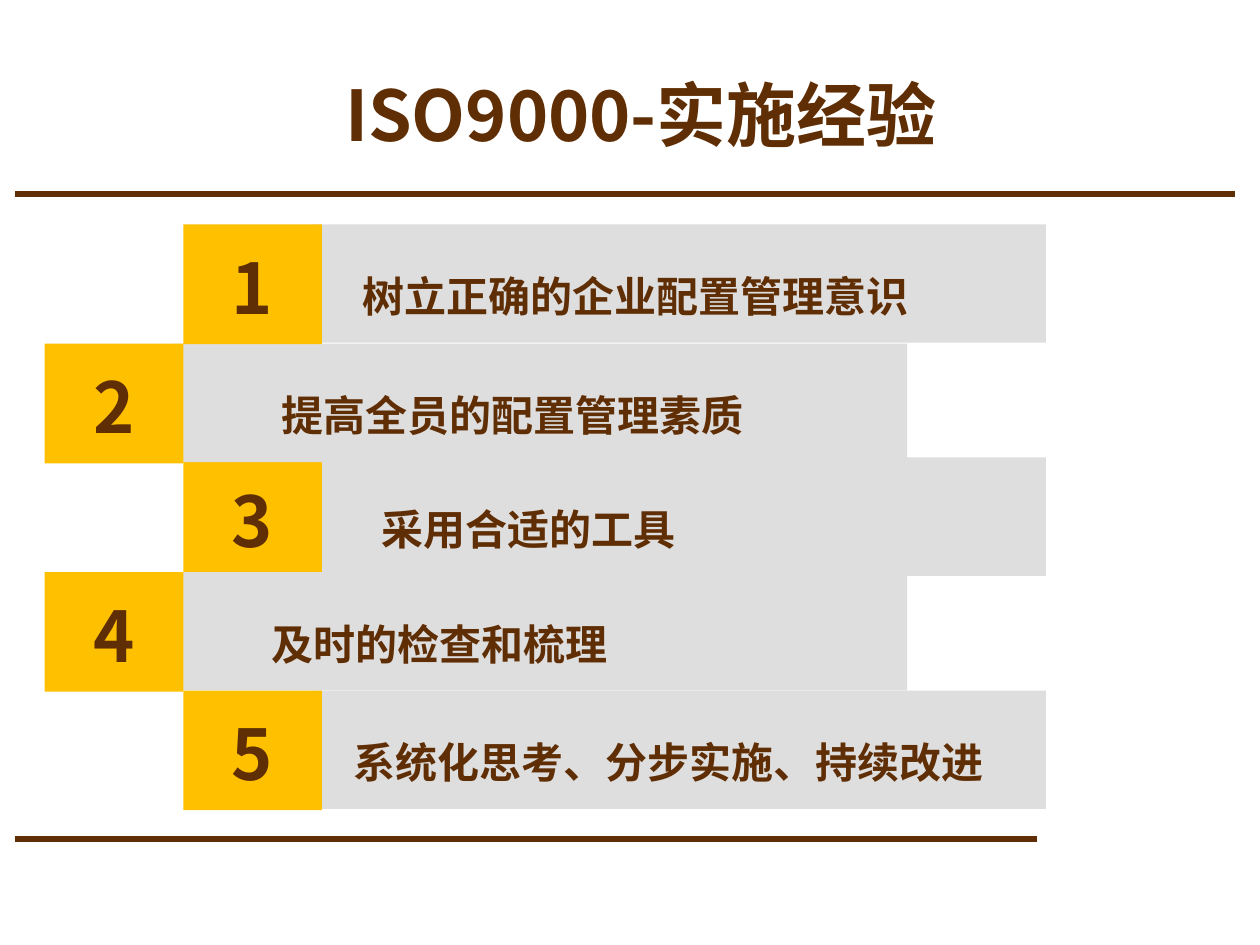
"""Build the ISO9000 implementation experience slide."""
from dataclasses import dataclass

from pptx import Presentation
from pptx.dml.color import RGBColor
from pptx.enum.shapes import MSO_CONNECTOR as Connector, MSO_SHAPE as Shape
from pptx.enum.text import MSO_ANCHOR as Anchor, MSO_AUTO_SIZE as AutoSize, PP_ALIGN as Align
from pptx.oxml.ns import qn
from pptx.oxml.xmlchemy import OxmlElement
from pptx.shapes.shapetree import GroupShapes, SlideShapes
from pptx.slide import Slide
from pptx.text.text import TextFrame
from pptx.util import Pt

BROWN = RGBColor(0x60, 0x2E, 0x04)
GOLD = RGBColor(0xFF, 0xC0, 0x00)
GREY = RGBColor(0xDE, 0xDE, 0xDE)
WHITE = RGBColor(0xFF, 0xFF, 0xFF)
FONT = "Noto Sans CJK SC"

BAR_LEFT = 99.4
BAR_WIDTH, BAR_HEIGHT = 419, 67.7
BADGE_WIDTH, BADGE_HEIGHT = 79.2, 68.4


@dataclass(frozen=True)
class Step:
    number: int
    top: float
    indent: float
    label: str

    @property
    def left(self) -> float:
        """Odd steps are shifted right by one badge."""
        return BAR_LEFT + BADGE_WIDTH * (self.number % 2)


STEPS = [
    Step(3, 261.4, 21.6, "采用合适的工具"),
    Step(4, 326.9, 37.8, "及时的检查和梳理"),
    Step(5, 394.6, 5.4, "系统化思考、分步实施、持续改进"),
    Step(2, 196.4, 43.2, "提高全员的配置管理素质"),
    Step(1, 128.2, 10.8, "树立正确的企业配置管理意识"),
]


def write(frame: TextFrame, text: str, size: float, wrap: bool = True) -> None:
    """Fill a frame with bold brown text, left aligned from the top."""
    frame.text = text
    frame.word_wrap = wrap
    frame.auto_size = AutoSize.NONE
    frame.vertical_anchor = Anchor.TOP
    para = frame.paragraphs[0]
    para.alignment = Align.LEFT
    span = para.runs[0]
    span.font.name = FONT
    span.font.size = Pt(size)
    span.font.bold = True
    span.font.color.rgb = BROWN
    east_asian = OxmlElement("a:ea")
    east_asian.set("typeface", FONT)
    span.font._element.find(qn("a:latin")).addnext(east_asian)


def add_block(shapes: GroupShapes, left: float, top: float,
              width: float, height: float, color: RGBColor) -> None:
    """Draw a plain filled rectangle."""
    block = shapes.add_shape(Shape.RECTANGLE, Pt(left), Pt(top), Pt(width), Pt(height))
    block.shadow.inherit = False
    block.fill.solid()
    block.fill.fore_color.rgb = color
    block.line.fill.background()


def add_step(shapes: SlideShapes, step: Step) -> None:
    """Draw one numbered bar as a group."""
    group = shapes.add_group_shape().shapes
    add_block(group, step.left, step.top, BAR_WIDTH, BAR_HEIGHT, GREY)
    label = group.add_textbox(Pt(step.left + 10.8), Pt(step.top + 8.4), Pt(396.7), Pt(50.4))
    write(label.text_frame, step.label, 24)
    label.text_frame.margin_left = Pt(7.2 + step.indent)
    label.text_frame.paragraphs[0].line_spacing = 1.5
    add_block(group, step.left - 73.8, step.top, BADGE_WIDTH, BADGE_HEIGHT, GOLD)
    number = group.add_textbox(Pt(step.left - 53.3), Pt(step.top + 7.9), Pt(40.3), Pt(58.3))
    write(number.text_frame, str(step.number), 40)


def add_rule(shapes: SlideShapes, top: float, right: float) -> None:
    """Draw a horizontal rule from the left edge."""
    rule = shapes.add_connector(Connector.STRAIGHT, Pt(8.6), Pt(top), Pt(right), Pt(top))
    rule.line.color.rgb = BROWN
    rule.line.width = Pt(3)
    rule._element.spPr.append(OxmlElement("a:effectLst"))


def add_title(slide: Slide) -> None:
    """Place and format the title."""
    title = slide.shapes.title
    title.left, title.top, title.width, title.height = Pt(190.1), Pt(37.4), Pt(364.3), Pt(58.3)
    write(title.text_frame, "ISO9000-实施经验", 40, wrap=False)


def main() -> None:
    """Create and save the deck."""
    deck = Presentation()
    deck.slide_width, deck.slide_height = Pt(720), Pt(540)
    slide = deck.slides.add_slide(deck.slide_layouts[5])
    slide.background.fill.solid()
    slide.background.fill.fore_color.rgb = WHITE
    add_title(slide)
    add_rule(slide.shapes, 110.9, 705.6)
    add_rule(slide.shapes, 479.5, 592.6)
    for step in STEPS:
        add_step(slide.shapes, step)
    deck.save("out.pptx")


if __name__ == "__main__":
    main()
